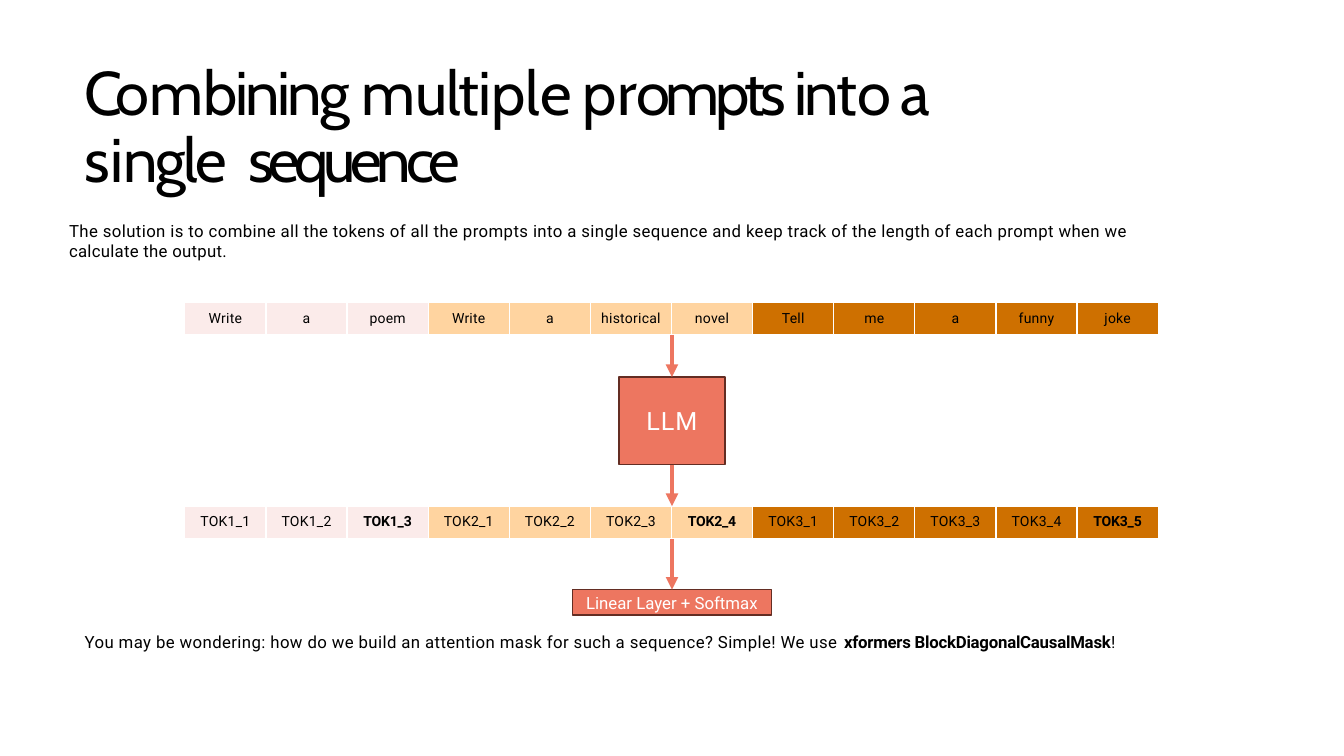
import pptx
import pptx.util
import pptx.dml.color
import pptx.enum.dml
import pptx.enum.shapes
import pptx.enum.text
import pptx.oxml
import pptx.oxml.ns

Pt = pptx.util.Pt
RGBColor = pptx.dml.color.RGBColor
Anchor = pptx.enum.text.MSO_ANCHOR
Align = pptx.enum.text.PP_ALIGN
BLACK = RGBColor(0x00, 0x00, 0x00)
WHITE = RGBColor(0xFF, 0xFF, 0xFF)
CORAL = RGBColor(0xED, 0x76, 0x60)
MAROON = RGBColor(0x63, 0x2D, 0x23)
PINK = RGBColor(0xFB, 0xEB, 0xEA)
PEACH = RGBColor(0xFF, 0xD4, 0xA0)
ORANGE = RGBColor(0xCE, 0x70, 0x00)
NAMESPACE = pptx.oxml.ns.nsdecls("a")


def write_spans(para, spans, color=BLACK, **formats):
    """Add (text, letter spacing in points, bold) spans to a paragraph."""
    for text, spacing, bold in spans:
        span = para.add_run()
        span.text = text
        for name, value in {"name": "Roboto", "bold": bold, **formats}.items():
            setattr(span.font, name, value)
        span.font.color.rgb = color
        span._r.get_or_add_rPr().set("spc", str(round(spacing * 100)))


def set_frame(frame, top_margin=0, anchor=Anchor.TOP):
    """Give a text frame or table cell tight margins and an anchor."""
    formats = {"margin_left": 0, "margin_right": 0, "margin_bottom": 0,
               "margin_top": Pt(top_margin), "vertical_anchor": anchor, "word_wrap": True}
    for name, value in formats.items():
        setattr(frame, name, value)


deck = pptx.Presentation()
deck.slide_width, deck.slide_height = Pt(960), Pt(540)
page = deck.slides.add_slide(deck.slide_layouts[5])

# Title with its uneven letter spacing
title = page.shapes.title
title.left, title.top, title.width, title.height = Pt(60.5), Pt(36.7), Pt(710), Pt(102.2)
set_frame(title.text_frame, 7.2)
title.text_frame.auto_size = pptx.enum.text.MSO_AUTO_SIZE.NONE
para = title.text_frame.paragraphs[0]
for name, value in {"alignment": Align.LEFT, "line_spacing": Pt(47.5), "space_before": Pt(7)}.items():
    setattr(para, name, value)
title_spans = [
    ("Co", -4.5), ("m", -5.8), ("bining ", -1.9), ("m", -6.5), ("ulti", -1.1), ("p", -2.1),
    ("l", -0.9), ("e ", -2), ("p", -0.1), ("r", -1.1), ("ompts ", -3.5), ("int", -1.9),
    ("o ", -2.9), ("a ", -0.2), ("s", -5.3), ("i", -2.6), ("ngle", -1.8), (" ", 5.5),
    ("sequence", -3.8),
]
write_spans(para, [(text, spacing, False) for text, spacing in title_spans], name="Cabin", size=Pt(44))

# Explanations above and below the diagram
explanations = [
    (49.3, 157, 792.7, 29.5, [
        [("The solution is to combine all the tokens of all the prompts into a single sequence "
          "and keep track of the length of each prompt when we", 0.28, False)],
        [("calculate the output.", 0.2, False)],
    ]),
    (60.5, 450, 750, 16.6, [
        [("You may be wondering: how do we build an attention mask for such a sequence? "
          "Simple! We use ", 0.29, False),
         ("xformers BlockDiagonalCausalMask", -0.16, True), ("!", -0.1, False)],
    ]),
]
for left, top, width, height, lines in explanations:
    box = page.shapes.add_textbox(Pt(left), Pt(top), Pt(width), Pt(height))
    set_frame(box.text_frame, 1.7)
    for index, spans in enumerate(lines):
        para = box.text_frame.add_paragraph() if index else box.text_frame.paragraphs[0]
        para.line_spacing = Pt(13.7)
        write_spans(para, spans, size=Pt(12))

# Token rows: one colour per prompt
prompts = [("Write a poem", PINK), ("Write a historical novel", PEACH), ("Tell me a funny joke", ORANGE)]
input_cells, output_cells = [], []
for number, (prompt, color) in enumerate(prompts, 1):
    words = prompt.split()
    for position, word in enumerate(words, 1):
        last = position == len(words)
        input_cells.append((word, 0.2, False, color))
        output_cells.append((f"TOK{number}_{position}", -0.1 if last else 0.2, last, color))

for top, cells in [(216, input_cells), (361.5, output_cells)]:
    table = page.shapes.add_table(1, len(cells), Pt(132), Pt(top), Pt(695.52), Pt(23)).table
    table.first_row = table.horz_banding = False
    for column, (text, spacing, bold, color) in enumerate(cells):
        table.columns[column].width = Pt(57.96)
        cell = table.cell(0, column)
        set_frame(cell, 0, Anchor.MIDDLE)
        para = cell.text_frame.paragraphs[0]
        para.alignment = Align.CENTER
        write_spans(para, [(text, spacing, bold)], size=Pt(10))
        borders = cell._tc.get_or_add_tcPr()
        for side in ("lnL", "lnR", "lnT", "lnB"):
            borders.append(pptx.oxml.parse_xml(
                f'<a:{side} {NAMESPACE} w="12700"><a:solidFill><a:srgbClr val="{WHITE}"/>'
                f'</a:solidFill></a:{side}>'))
        cell.fill.solid()
        cell.fill.fore_color.rgb = color

# Model blocks
blocks = {}
for label, left, top, width, height, size, spacing in [
    ("LLM", 442.2, 269.3, 75.6, 62.6, 18, 0.7),
    ("Linear Layer + Softmax", 409, 421.2, 142, 18, 12, 0),
]:
    block = page.shapes.add_shape(pptx.enum.shapes.MSO_SHAPE.RECTANGLE,
                                  Pt(left), Pt(top), Pt(width), Pt(height))
    block.shadow.inherit = False
    block.fill.solid()
    block.fill.fore_color.rgb = CORAL
    block.line.color.rgb = MAROON
    block.line.width = Pt(1)
    set_frame(block.text_frame, 0, Anchor.MIDDLE)
    para = block.text_frame.paragraphs[0]
    para.alignment = Align.CENTER
    write_spans(para, [(label, spacing, False)], WHITE, size=Pt(size))
    blocks[label] = block

# Arrows down the middle
llm, softmax = blocks["LLM"], blocks["Linear Layer + Softmax"]
for start, end, source, target in [
    (239.2, 269.3, None, llm), (331.9, 361.5, llm, None), (385.2, 421.2, None, softmax),
]:
    arrow = page.shapes.add_connector(pptx.enum.shapes.MSO_CONNECTOR.STRAIGHT,
                                      Pt(480), Pt(start), Pt(480), Pt(end))
    if source is not None:
        arrow.begin_connect(source, 2)
    if target is not None:
        arrow.end_connect(target, 0)
    arrow.line.color.rgb = CORAL
    arrow.line.width = Pt(3)
    arrow.line._get_or_add_ln().append(pptx.oxml.parse_xml(f'<a:tailEnd {NAMESPACE} type="triangle"/>'))
    arrow._element.spPr.append(pptx.oxml.parse_xml(f"<a:effectLst {NAMESPACE}/>"))

deck.save("out.pptx")
